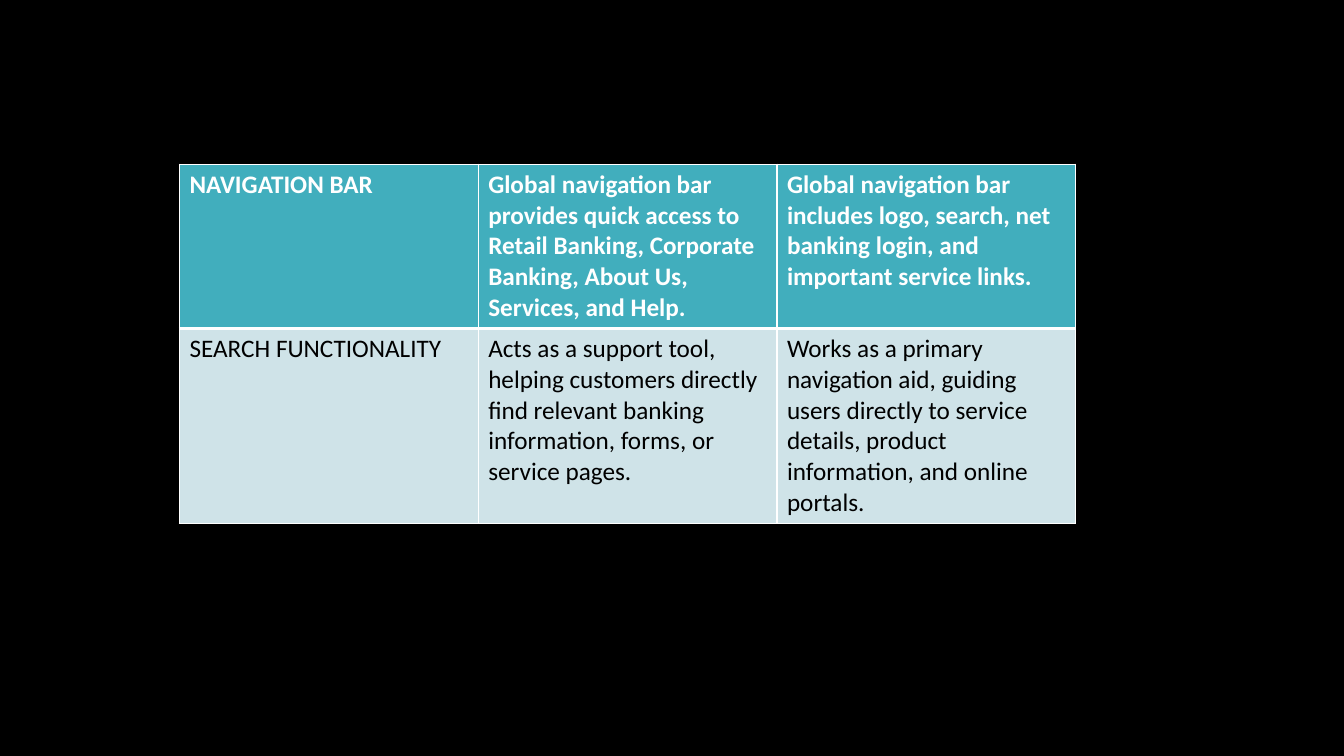
from dataclasses import dataclass

from lxml import etree
from pptx import Presentation
from pptx.dml.color import RGBColor
from pptx.oxml.ns import qn
from pptx.table import _Cell
from pptx.util import Inches, Pt

BLANK_LAYOUT = 6
FONT = "Calibri"
WHITE, BLACK = "FFFFFF", "000000"
TEAL, PALE_TEAL = "41AEBD", "CFE3E8"
COLUMN_WIDTH = 2.963


@dataclass(frozen=True)
class FeatureRow:
    texts: tuple[str, ...]
    height: float
    fill: str
    color: str
    bold: bool
    top_width: float
    bottom_width: float


FEATURES = (
    FeatureRow(
        (
            "NAVIGATION BAR",
            "Global navigation bar provides quick access to Retail Banking, "
            "Corporate Banking, About Us, Services, and Help.",
            "Global navigation bar includes logo, search, net banking login, "
            "and important service links.",
        ),
        height=1.63, fill=TEAL, color=WHITE, bold=True,
        top_width=1, bottom_width=3,
    ),
    FeatureRow(
        (
            "SEARCH FUNCTIONALITY",
            "Acts as a support tool, helping customers directly find relevant "
            "banking information, forms, or service pages.",
            "Works as a primary navigation aid, guiding users directly to "
            "service details, product information, and online portals.",
        ),
        height=1.93, fill=PALE_TEAL, color=BLACK, bold=False,
        top_width=3, bottom_width=1,
    ),
)


def rgb(value: str) -> RGBColor:
    return RGBColor.from_string(value)


def write_text(cell: _Cell, text: str, *, color: str, bold: bool,
               size: float = 18) -> None:
    run = cell.text_frame.paragraphs[0].add_run()
    run.text = text
    run.font.name = FONT
    run.font.size = Pt(size)
    run.font.bold = bold
    run.font.color.rgb = rgb(color)


def add_borders(cell: _Cell, top: float, bottom: float,
                side: float = 1, color: str = WHITE) -> None:
    properties = cell._tc.get_or_add_tcPr()
    widths = {"a:lnL": side, "a:lnR": side, "a:lnT": top, "a:lnB": bottom}
    for tag, width in widths.items():
        line = etree.SubElement(properties, qn(tag), w=str(Pt(width)))
        line_fill = etree.SubElement(line, qn("a:solidFill"))
        etree.SubElement(line_fill, qn("a:srgbClr"), val=color)


def main() -> None:
    deck = Presentation()
    deck.slide_width = Inches(13.33)
    deck.slide_height = Inches(7.5)
    slide = deck.slides.add_slide(deck.slide_layouts[BLANK_LAYOUT])
    slide.background.fill.solid()
    slide.background.fill.fore_color.rgb = rgb(BLACK)

    column_count = len(FEATURES[0].texts)
    comparison = slide.shapes.add_table(
        len(FEATURES), column_count, Inches(1.78), Inches(1.63),
        Inches(COLUMN_WIDTH * column_count),
        Inches(sum(feature.height for feature in FEATURES)),
    ).table
    for column in comparison.columns:
        column.width = Inches(COLUMN_WIDTH)

    for row_index, feature in enumerate(FEATURES):
        comparison.rows[row_index].height = Inches(feature.height)
        for column_index, text in enumerate(feature.texts):
            cell = comparison.cell(row_index, column_index)
            write_text(cell, text, color=feature.color, bold=feature.bold)
            add_borders(cell, feature.top_width, feature.bottom_width)
            cell.fill.solid()
            cell.fill.fore_color.rgb = rgb(feature.fill)

    deck.save("out.pptx")


if __name__ == "__main__":
    main()
